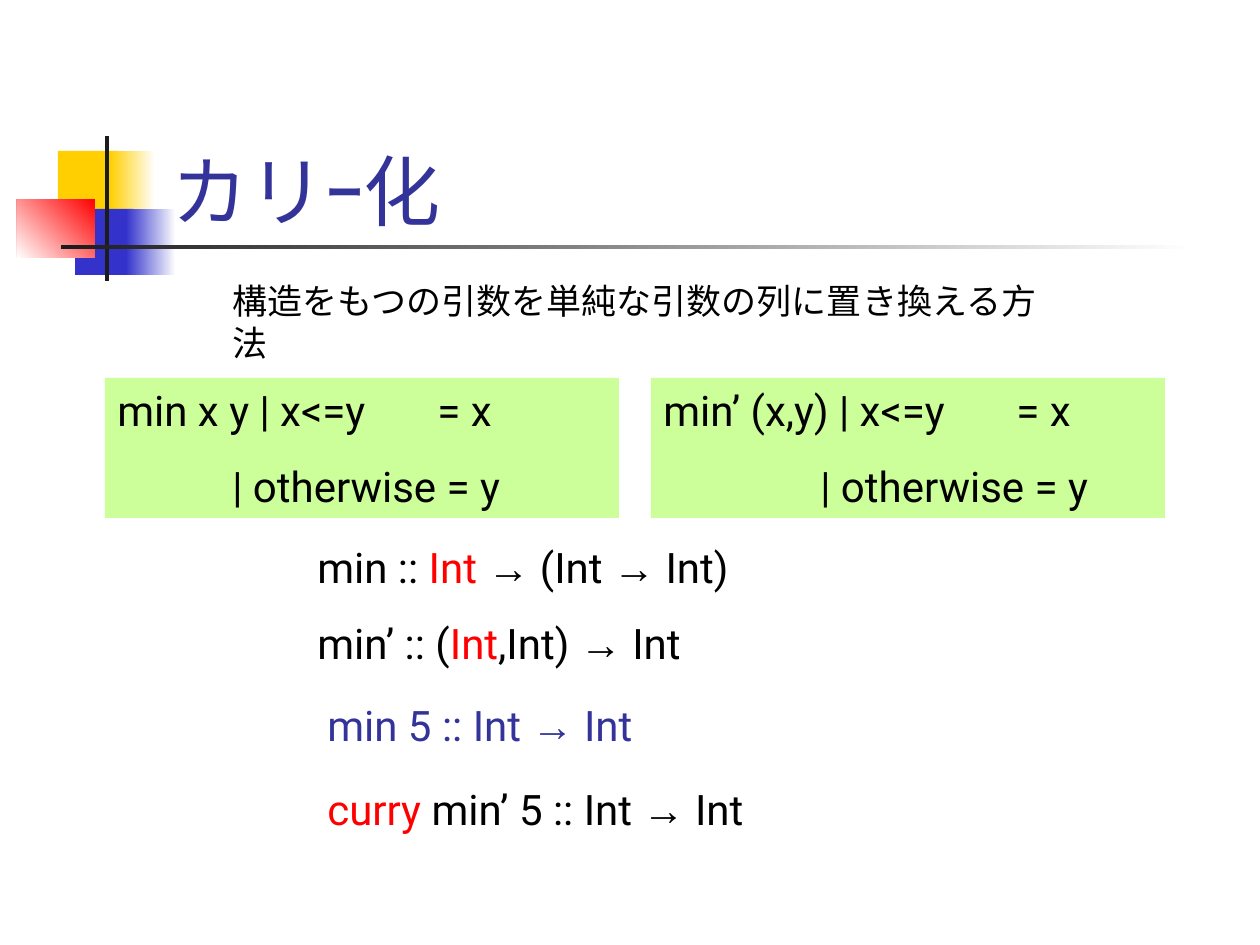
"""Build a slide that explains currying with two versions of min."""
from itertools import groupby

from lxml import etree
from pptx import Presentation
from pptx import util as u
from pptx.dml.color import RGBColor
from pptx.enum import shapes, text
from pptx.oxml.ns import qn

WHITE = RGBColor(0xFF, 0xFF, 0xFF)
BLACK = RGBColor(0x00, 0x00, 0x00)
RED = RGBColor(0xFF, 0x00, 0x00)
YELLOW = RGBColor(0xFF, 0xCF, 0x01)
BLUE = RGBColor(0x33, 0x33, 0xCC)
INDIGO = RGBColor(0x33, 0x33, 0x99)
CHARCOAL = RGBColor(0x1C, 0x1C, 0x1C)
LIME = RGBColor(0xCC, 0xFF, 0x99)
ARROW = "→"


def px(count):
    return u.Emu(round(count * 914400 / 126))


def write(paragraph, content, *, size=24, color=BLACK, font="Roboto"):
    for is_arrow, letters in groupby(content, lambda letter: letter == ARROW):
        run = paragraph.add_run()
        run.text = "".join(letters)
        run.font.size = u.Pt(size)
        run.font.name = "Arial" if is_arrow else font
        run.font.color.rgb = color


class SlideBuilder:
    def __init__(self, slide, paragraph_gap=15):
        self.slide = slide
        self.paragraph_gap = paragraph_gap

    def block(self, box, color, fade_to=None, angle=180):
        shape = self.slide.shapes.add_shape(
            shapes.MSO_SHAPE.RECTANGLE, *map(px, box))
        shape.shadow.inherit = False
        shape.line.fill.background()
        if fade_to is None:
            shape.fill.solid()
            shape.fill.fore_color.rgb = color
        else:
            shape.fill.gradient()
            shape.fill.gradient_angle = angle
            for stop, stop_color in zip(shape.fill.gradient_stops, (color, fade_to)):
                stop.color.rgb = stop_color
        return shape

    def lines(self, shape, lines, grow=True, anchor=text.MSO_ANCHOR.TOP, **style):
        frame = shape.text_frame
        frame.word_wrap = True
        frame.vertical_anchor = anchor
        if grow:
            frame.auto_size = text.MSO_AUTO_SIZE.SHAPE_TO_FIT_TEXT
        for index, parts in enumerate(lines):
            paragraph = frame.add_paragraph() if index else frame.paragraphs[0]
            paragraph.alignment = text.PP_ALIGN.LEFT
            paragraph.space_before = u.Pt(self.paragraph_gap)
            for content, color in parts:
                write(paragraph, content, color=color, **style)
        return frame.paragraphs

    def label(self, box, lines, **style):
        shape = self.slide.shapes.add_textbox(*map(px, box))
        return self.lines(shape, lines, **style)

    def definition(self, left, head, tab, indent):
        shape = self.block((left, 378, 514, 140), LIME)
        first, second = self.lines(shape, [
            [(f"{head} | x<=y\t= x", BLACK)],
            [("| otherwise = y", BLACK)],
        ])
        tabs = etree.SubElement(first._p.get_or_add_pPr(), qn("a:tabLst"))
        etree.SubElement(tabs, qn("a:tab"), pos=str(px(tab)), algn="l")
        second._p.get_or_add_pPr().set("marL", str(px(indent)))


def main():
    presentation = Presentation()
    presentation.slide_width, presentation.slide_height = px(1260), px(945)
    slide = presentation.slides.add_slide(presentation.slide_layouts[6])
    builder = SlideBuilder(slide)

    builder.block((58, 151, 60, 66), YELLOW)
    builder.block((110, 151, 45, 66), WHITE, YELLOW)
    builder.block((75, 209, 58, 66), BLUE)
    builder.block((126, 209, 50, 66), WHITE, BLUE)
    builder.block((17, 199, 78, 59), RED, WHITE, angle=225)
    builder.block((105, 136, 4, 145), CHARCOAL)
    builder.block((61, 245, 1134, 4), WHITE, CHARCOAL)

    builder.label((159, 84, 1074, 158), [[("カリｰ化", INDIGO)]],
                  size=44, grow=False, anchor=text.MSO_ANCHOR.BOTTOM)
    builder.definition(105, "min x y", tab=320, indent=115)
    builder.definition(651, "min’ (x,y)", tab=353, indent=157)

    builder.label((305, 535, 567, 140), [
        [("min :: ", BLACK), ("Int ", RED), ("→ (Int → Int)", BLACK)],
        [("min’ :: (", BLACK), ("Int", RED), (",Int) → Int", BLACK)],
    ])
    builder.label((315, 693, 630, 63), [[("min 5 :: Int → Int", INDIGO)]])
    builder.label((315, 777, 693, 63),
                  [[("curry", RED), (" min’ 5 :: Int → Int", BLACK)]])
    builder.label((220, 273, 840, 97),
                  [[("構造をもつの引数を単純な引数の列に置き換える方法", BLACK)]],
                  size=20, font="Times New Roman")

    presentation.save("out.pptx")


if __name__ == "__main__":
    main()
